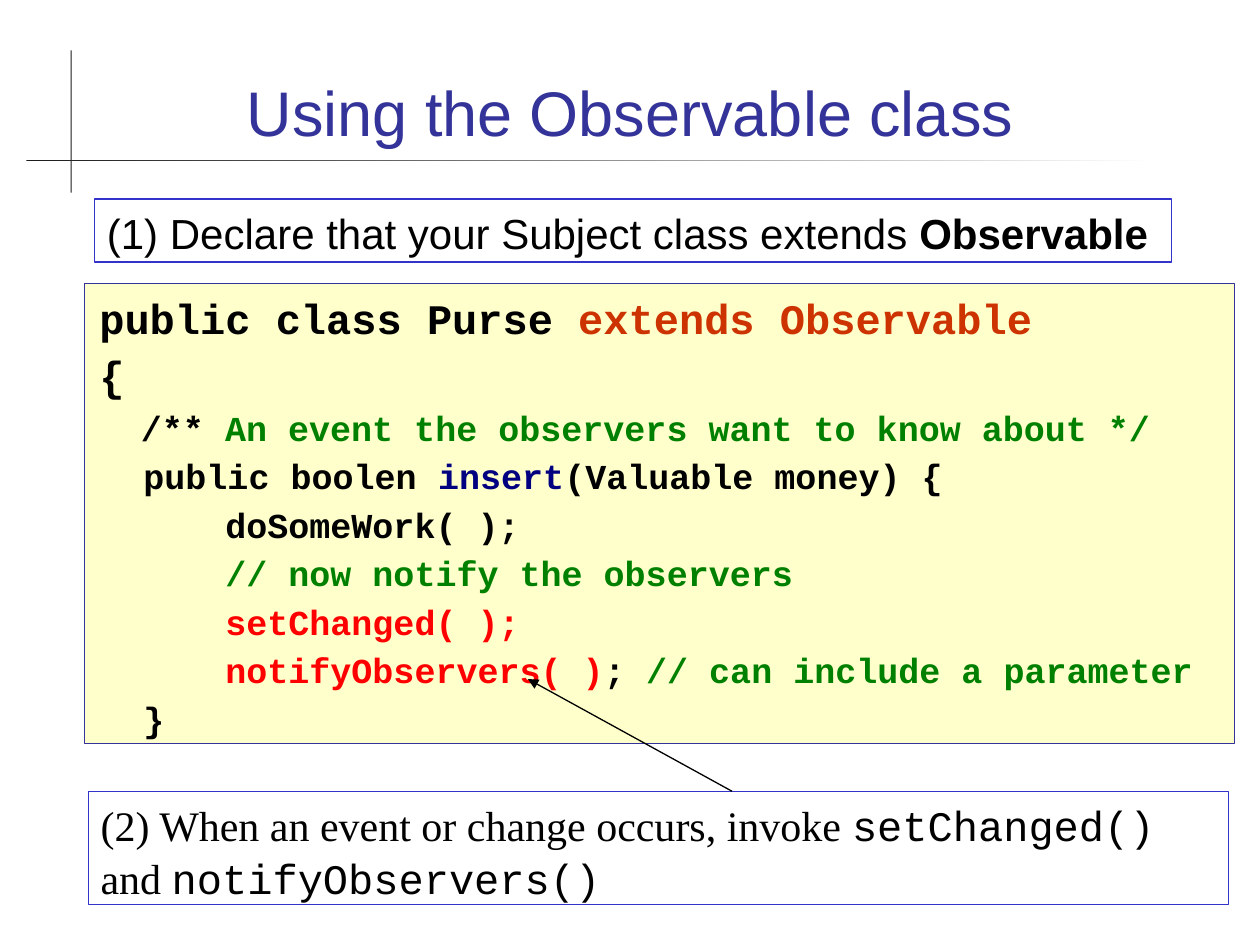
from pptx import Presentation
from pptx.dml.color import RGBColor
from pptx.enum.shapes import MSO_CONNECTOR as Connector, MSO_SHAPE as Shape
from pptx.enum.text import MSO_ANCHOR as Anchor, PP_ALIGN as Align
from pptx.oxml.ns import qn
from pptx.util import Inches, Pt
from lxml import etree

BLACK, DARK, NAVY = "000000", "1C1C1C", "000080"
TITLE_BLUE, BORDER_BLUE = "333399", "3333CC"
GREEN, RED, ORANGE = "008000", "FF0000", "CC3300"
SANS, SERIF, MONO = "Arial", "Times New Roman", "Courier New"

# Each code line: size, indent in inches, coloured pieces
CODE = [
    (24, 0.02, [("public class Purse ", BLACK), ("extends Observable", ORANGE)]),
    (24, 0.02, [("{", BLACK)]),
    (20, 0.35, [("/**", BLACK),
                (" An event the observers want to know about */", GREEN)]),
    (20, 0.37, [("public boolen ", BLACK), ("insert", NAVY),
                ("(Valuable money) {", BLACK)]),
    (20, 1.02, [("doSomeWork( );", BLACK)]),
    (20, 1.02, [("// now notify the observers", GREEN)]),
    (20, 1.02, [("setChanged( );", RED)]),
    (20, 1.02, [("notifyObservers( )", RED), ("; ", BLACK),
                ("// can include a parameter", GREEN)]),
    (20, 0.37, [("}", BLACK)]),
]


def color(hex_code):
    return RGBColor.from_string(hex_code)


def inches(box):
    return [Inches(v) for v in box]


def add_panel(slide, box, fill=None, border=None):
    panel = slide.shapes.add_shape(Shape.RECTANGLE, *inches(box))
    panel.shadow.inherit = False
    if fill:
        panel.fill.solid()
        panel.fill.fore_color.rgb = color(fill)
    else:
        panel.fill.background()
    if border:
        panel.line.color.rgb = color(border)
        panel.line.width = Pt(0.75)
    else:
        panel.line.fill.background()
    panel.text_frame.word_wrap = True
    panel.text_frame.vertical_anchor = Anchor.TOP
    return panel


def style_paragraph(paragraph, size):
    paragraph.alignment = Align.LEFT
    paragraph.line_spacing = 1.05
    paragraph.font.size = Pt(size)


def add_title(slide, box):
    title = slide.shapes.title
    title.left, title.top, title.width, title.height = inches(box)
    title.text_frame.text = "Using the Observable class"
    title.text_frame.vertical_anchor = Anchor.BOTTOM
    heading = title.text_frame.paragraphs[0]
    heading.alignment = Align.CENTER
    heading.font.size = Pt(36)
    heading.font.name = SANS
    heading.font.color.rgb = color(TITLE_BLUE)


def add_title_rules(slide, vertical_box, horizontal_box):
    add_panel(slide, vertical_box, DARK)
    fading_rule = add_panel(slide, horizontal_box)
    fading_rule.fill.gradient()
    fading_rule.fill.gradient_angle = 0
    for stop, shade in zip(fading_rule.fill.gradient_stops, (DARK, "FFFFFF")):
        stop.color.rgb = color(shade)


def add_code(slide, box):
    frame = add_panel(slide, box, "FFFFCC", TITLE_BLUE).text_frame
    for number, (size, indent, pieces) in enumerate(CODE):
        line = frame.add_paragraph() if number else frame.paragraphs[0]
        style_paragraph(line, size)
        line.space_before = Pt(2.5)
        line.font.name = MONO
        line.font.bold = True
        line._p.get_or_add_pPr().set("marL", str(Inches(indent)))
        for text, shade in pieces:
            run = line.add_run()
            run.text = text
            run.font.color.rgb = color(shade)


def add_step(slide, box, pieces, fill=None):
    """Pieces are (text, font, bold)."""
    step = add_panel(slide, box, fill, BORDER_BLUE).text_frame.paragraphs[0]
    style_paragraph(step, 24)
    step.font.color.rgb = color(BLACK)
    for text, font, bold in pieces:
        run = step.add_run()
        run.text = text
        run.font.name = font
        run.font.bold = bold


def add_arrow(slide, start, end):
    arrow = slide.shapes.add_connector(Connector.STRAIGHT, *inches(start + end))
    arrow.line.color.rgb = color(BLACK)
    arrow.line.width = Pt(0.75)
    etree.SubElement(arrow.line._get_or_add_ln(), qn("a:tailEnd"), type="triangle")
    etree.SubElement(arrow._element.spPr, qn("a:effectLst"))


def main():
    deck = Presentation()
    deck.slide_width, deck.slide_height = Inches(10), Inches(7.5)
    slide = deck.slides.add_slide(deck.slide_layouts[5])

    # Title and its crossing rules
    add_title_rules(slide, (0.56, 0.4, 0.01, 1.13), (0.21, 1.27, 8.97, 0.01))
    add_title(slide, (0.67, 0.28, 8.66, 0.95))

    # Code and the two steps around it
    add_code(slide, (0.67, 2.25, 9.13, 3.65))
    add_step(slide, (0.75, 1.58, 8.55, 0.5), [
        ("(1) Declare that your Subject class extends ", SANS, False),
        ("Observable", SANS, True)])
    add_step(slide, (0.7, 6.28, 9.05, 0.9), [
        ("(2) When an event or change occurs, invoke ", SERIF, False),
        ("setChanged()", MONO, False),
        (" and ", SERIF, False),
        ("notifyObservers()", MONO, False)], "FFFFFF")

    # Arrow from step 2 to the notifying call
    add_arrow(slide, (5.81, 6.28), (4.19, 5.39))

    deck.save("out.pptx")


if __name__ == "__main__":
    main()
